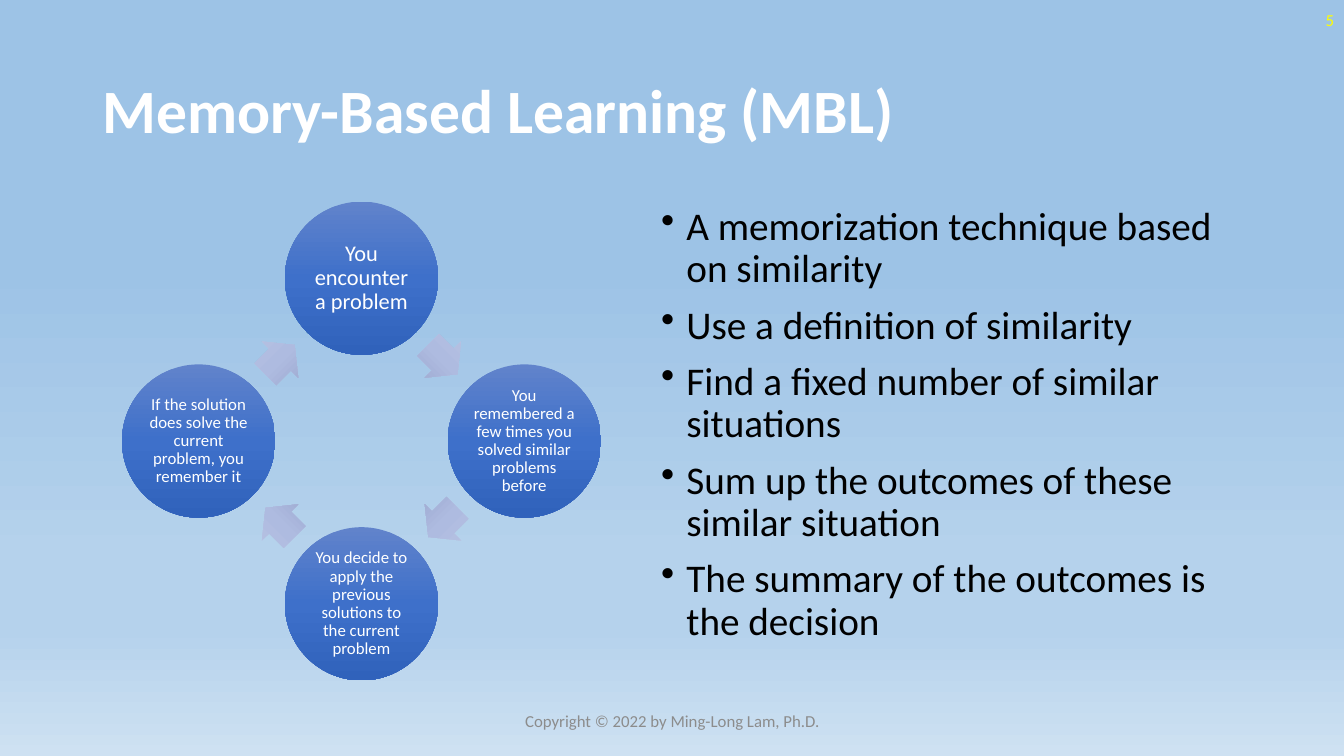
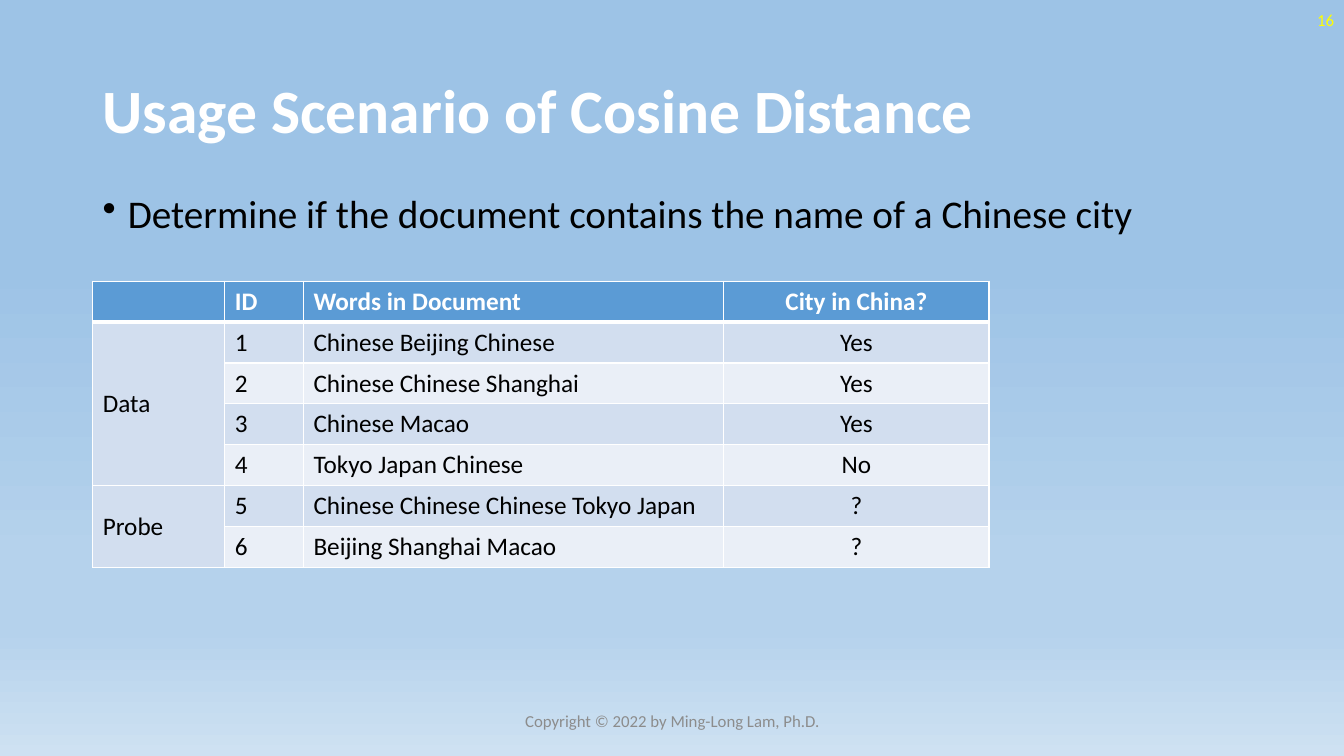
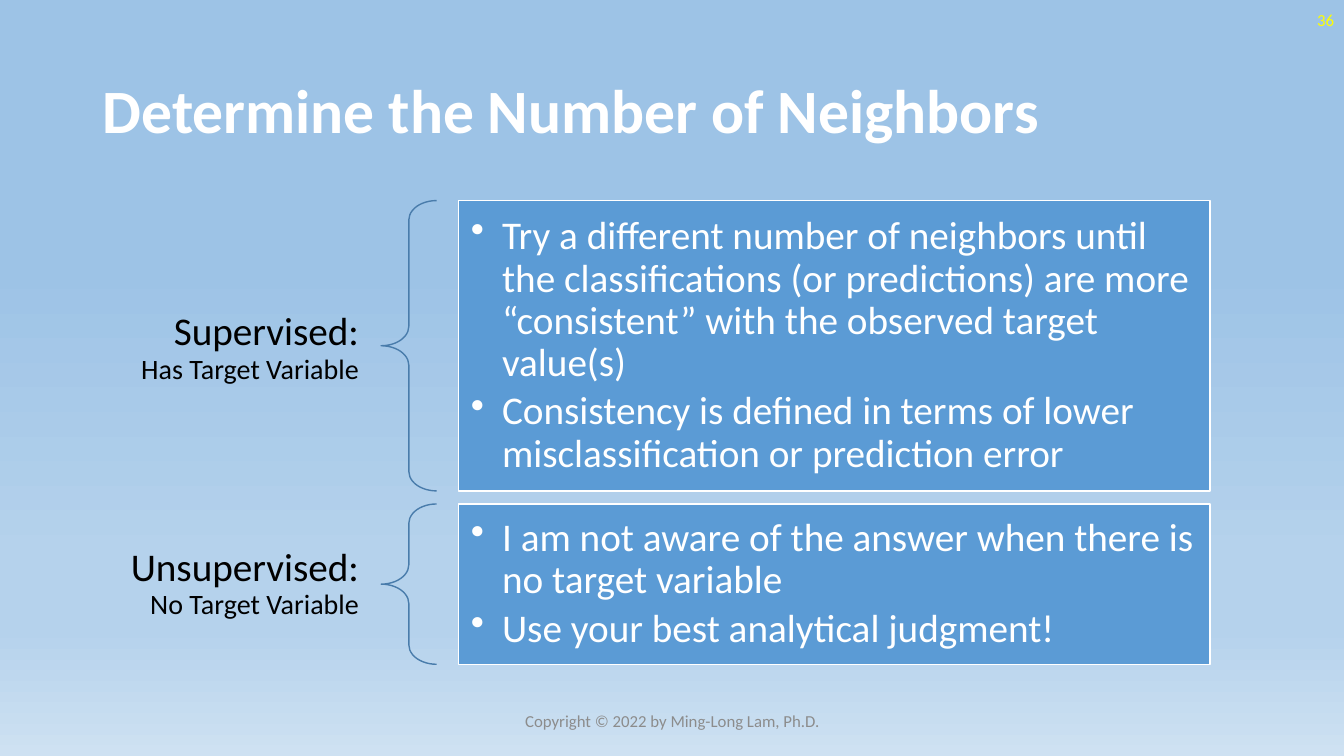
import math

import lxml.etree
import pptx
import pptx.dml.color
import pptx.enum.shapes
import pptx.enum.text
import pptx.oxml.ns
import pptx.util

PX = 9144  # one px is a hundredth of an inch
FONT = "Calibri"
WHITE, BLACK, GRAY, YELLOW = "FFFFFF", "000000", "8C8C8C", "FFFF00"
BLUE, BAND, PALE, EDGE = "5B9BD5", "D2DEEF", "EAEFF7", "497CAB"
SKY = [(35, "9DC3E6"), (74, "B5D2EC"), (83, "B5D2EC"), (100, "CEE1F2")]
DISC = [(0, "6183CB"), (50, "3E70CA"), (100, "3062BB")]
ARROW = [(0, "BBC5E3"), (50, "AEBBE0"), (100, "98A4CB")]

SHAPE = pptx.enum.shapes.MSO_SHAPE
MID = pptx.enum.text.MSO_ANCHOR.MIDDLE
TOP = pptx.enum.text.MSO_ANCHOR.TOP
LEFT = pptx.enum.text.PP_ALIGN.LEFT
MIDDLE = pptx.enum.text.PP_ALIGN.CENTER
RIGHT = pptx.enum.text.PP_ALIGN.RIGHT


# Basics
def emu(*px):
    return [pptx.util.Emu(round(v * PX)) for v in px]


def rgb(code):
    return pptx.dml.color.RGBColor.from_string(code)


def sub(node, tag, **atts):
    return lxml.etree.SubElement(node, pptx.oxml.ns.qn(tag), **atts)


def paint(fill, code):
    fill.solid()
    fill.fore_color.rgb = rgb(code)


def shade(fill, host, stops):
    """Fill with a gradient that runs from top to bottom."""
    fill.gradient()
    fill.gradient_angle = 270
    grad = next(host.iter(pptx.oxml.ns.qn("a:gradFill")))
    row = grad.find(pptx.oxml.ns.qn("a:gsLst"))
    for old in list(row):
        row.remove(old)
    for pos, code in stops:
        stop = sub(row, "a:gs", pos=str(pos * 1000))
        sub(stop, "a:srgbClr", val=code)


# Text
def add_run(para, text, size, color, bold=False):
    run = para.add_run()
    run.text = text
    run.font.name = FONT
    run.font.size = pptx.util.Pt(size)
    run.font.bold = bold
    run.font.color.rgb = rgb(color)


def dot(para, inset):
    props = para._p.get_or_add_pPr()
    props.set("marL", str(inset * PX))
    props.set("indent", str(-inset * PX))
    sub(props, "a:buChar", char="•")


def write(frame, paras, color, align=LEFT, anchor=MID, pads=(10, 5),
          bold=False, lines=0.9, inset=0, before=0, after=0):
    """Each paragraph is a list of (text, size) runs."""
    frame.word_wrap = True
    frame.vertical_anchor = anchor
    frame.margin_left, frame.margin_top = emu(*pads)
    frame.margin_right, frame.margin_bottom = emu(*pads)
    for i, runs in enumerate(paras):
        para = frame.add_paragraph() if i else frame.paragraphs[0]
        if inset:
            dot(para, inset)
        para.alignment = align
        para.line_spacing = lines
        para.space_before = pptx.util.Pt(before if i else 0)
        para.space_after = pptx.util.Pt(after)
        for text, size in runs:
            add_run(para, text, size, color, bold)


def add_text(slide, box, paras, color, **look):
    write(slide.shapes.add_textbox(*emu(*box)).text_frame, paras, color, **look)


def add_form(slide, kind, box, fill=None, line=None, adj=()):
    form = slide.shapes.add_shape(kind, *emu(*box))
    form.shadow.inherit = False
    for i, val in enumerate(adj):
        form.adjustments[i] = val
    if isinstance(fill, list):
        shade(form.fill, form.element, fill)
    elif fill:
        paint(form.fill, fill)
    else:
        form.fill.background()
    if line:
        paint(form.line.fill, line)
        form.line.width = pptx.util.Pt(1)
    else:
        form.line.fill.background()
    return form


# Shared frame: title, number, footer
def add_slide(deck, title, number):
    slide = deck.slides.add_slide(deck.slide_layouts[6])
    add_text(slide, (92, 40, 1150, 145), [[(title, 44)]], WHITE, bold=True)
    add_text(slide, (1033, 0, 300, 40), [[(number, 12)]], YELLOW,
             align=RIGHT, lines=1)
    add_text(slide, (442, 695, 450, 40),
             [[("Copyright © 2022 by Ming-Long Lam, Ph.D.", 12)]], GRAY,
             align=MIDDLE, lines=1)
    return slide


def add_list(slide, box, items):
    add_text(slide, box, [[(item, 28)] for item in items], BLACK,
             anchor=TOP, inset=25, before=10)


# Ring of discs, clockwise from the top, with arrows between
def add_ring(slide, box, steps):
    left, top, width, height = box
    disc, wide, high = 152, 41, 51
    reach = (width - disc) / 2
    mid_x, mid_y = left + width / 2, top + height / 2
    turn = 360 / len(steps)

    def spot(angle, dist, w, h):
        rad = math.radians(angle)
        return (mid_x + dist * math.sin(rad) - w / 2,
                mid_y - dist * math.cos(rad) - h / 2, w, h)

    for i, (text, size) in enumerate(steps):
        form = add_form(slide, SHAPE.OVAL, spot(i * turn, reach, disc, disc), DISC)
        write(form.text_frame, [[(text, size)]], WHITE, align=MIDDLE, pads=(2, 2))
        half = (i + 0.5) * turn
        dist = reach * math.cos(math.radians(turn / 2))
        arrow = add_form(slide, SHAPE.RIGHT_ARROW, spot(half, dist, wide, high),
                         ARROW, adj=(0.6, 0.5))
        arrow.rotation = half


# Table
def edge(cell, widths):
    props = cell._tc.get_or_add_tcPr()
    for i, (side, width) in enumerate(zip("LRTB", widths)):
        line = sub(props, "a:ln" + side, w=str(width * 12700))
        sub(sub(line, "a:solidFill"), "a:srgbClr", val=WHITE)
        props.insert(i, line)


def add_grid(slide, box, widths, rows, spans):
    shape = slide.shapes.add_table(len(rows), len(widths), *emu(*box))
    table = shape.table
    for col, width in zip(table.columns, emu(*widths)):
        col.width = width
    for r, row in enumerate(rows):
        for c, text in enumerate(row):
            cell = table.cell(r, c)
            head = r == 0
            tint = BLUE if head else BAND if r % 2 or c == 0 else PALE
            paint(cell.fill, tint)
            edge(cell, (1, 1, 3 if r == 1 else 1, 3 if head else 1))
            cell.vertical_anchor = MID if c == 0 else TOP
            if text:
                para = cell.text_frame.paragraphs[0]
                para.alignment = MIDDLE if c == len(row) - 1 else LEFT
                add_run(para, text, 18, WHITE if head else BLACK, head)
    for first, last in spans:
        table.cell(first, 0).merge(table.cell(last, 0))


# Label, brace and panel in one row
def add_case(slide, box, label, items):
    left, top, width, height = box
    tag, brace, gap = 274, 55, 22
    add_text(slide, (left, top, tag, height), [label], BLACK,
             align=RIGHT, pads=(22, 8))
    add_form(slide, SHAPE.LEFT_BRACE, (left + tag, top, brace, height),
             line=EDGE, adj=(0.35, 0.5))
    start = tag + brace + gap
    panel = add_form(slide, SHAPE.RECTANGLE,
                     (left + start, top, width - start, height), BLUE, WHITE)
    write(panel.text_frame, [[(item, 28)] for item in items], WHITE,
          pads=(12, 12), inset=31, after=4.2)


# Slides
def add_memory(deck):
    slide = add_slide(deck, "Memory-Based Learning (MBL)", "5")
    add_ring(slide, (121, 200, 475, 475), [
        ("You encounter a problem", 16),
        ("You remembered a few times you solved similar problems before", 12),
        ("You decide to apply the previous solutions to the current problem", 12),
        ("If the solution does solve the current problem, you remember it", 12),
    ])
    add_list(slide, (646, 200, 603, 476), [
        "A memorization technique based on similarity",
        "Use a definition of similarity",
        "Find a fixed number of similar situations",
        "Sum up the outcomes of these similar situation",
        "The summary of the outcomes is the decision",
    ])


def add_usage(deck):
    slide = add_slide(deck, "Usage Scenario of Cosine Distance", "16")
    add_list(slide, (92, 188, 1150, 74),
             ["Determine if the document contains the name of a Chinese city"])
    add_grid(slide, (92, 279, 889, 284), (131, 78, 417, 263), [
        ("", "ID", "Words in Document", "City in China?"),
        ("Data", "1", "Chinese Beijing Chinese", "Yes"),
        ("", "2", "Chinese Chinese Shanghai", "Yes"),
        ("", "3", "Chinese Macao", "Yes"),
        ("", "4", "Tokyo Japan Chinese", "No"),
        ("Probe", "5", "Chinese Chinese Chinese Tokyo Japan", "?"),
        ("", "6", "Beijing Shanghai Macao", "?"),
    ], [(1, 4), (5, 6)])


def add_count(deck):
    slide = add_slide(deck, "Determine the Number of Neighbors", "36")
    add_case(slide, (104, 199, 1096, 288),
             [("Supervised:", 28), (" ", 32), ("Has Target Variable", 20)], [
                 "Try a different number of neighbors until the classifications "
                 "(or predictions) are more “consistent” with the observed "
                 "target value(s)",
                 "Consistency is defined in terms of lower misclassification "
                 "or prediction error"])
    add_case(slide, (104, 500, 1096, 159),
             [("Unsupervised:", 28), (" ", 24), ("No Target Variable", 20)], [
                 "I am not aware of the answer when there is no target variable",
                 "Use your best analytical judgment!"])


def main():
    deck = pptx.Presentation()
    deck.slide_width, deck.slide_height = emu(1333, 750)
    master = deck.slide_master
    shade(master.background.fill, master.element, SKY)
    add_memory(deck)
    add_usage(deck)
    add_count(deck)
    deck.save("out.pptx")


if __name__ == "__main__":
    main()
